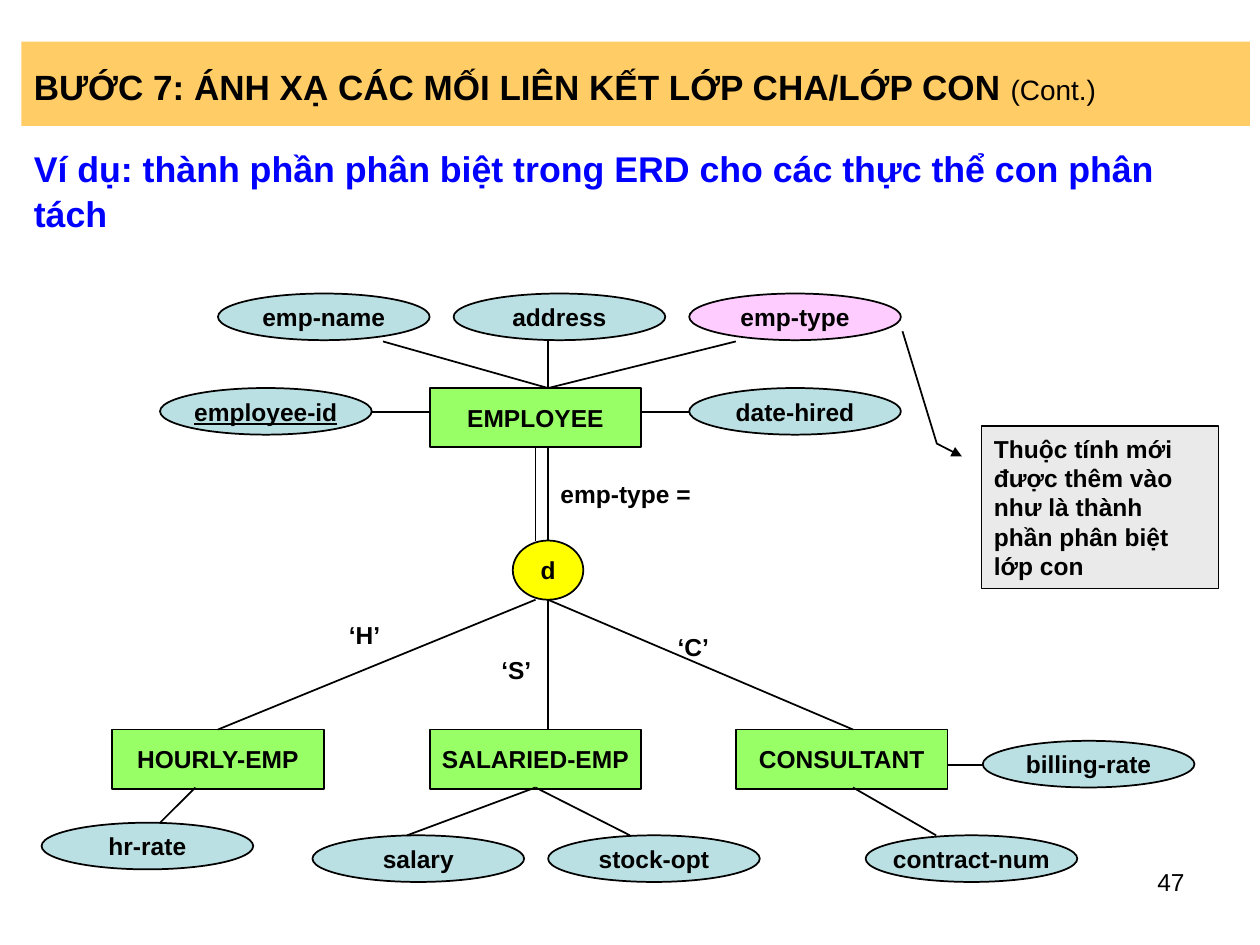
from dataclasses import dataclass
from typing import Optional

from lxml.etree import SubElement
from pptx import Presentation
from pptx.dml.color import RGBColor
from pptx.enum.shapes import MSO_CONNECTOR, MSO_SHAPE
from pptx.enum.text import MSO_ANCHOR, PP_ALIGN
from pptx.oxml.ns import qn
from pptx.util import Inches, Pt


@dataclass(frozen=True)
class Theme:
    font: str = "Arial"
    ink: str = "000000"
    banner: str = "FFCC66"
    heading: str = "0000FF"
    entity: str = "99FF66"
    attribute: str = "BBE0E3"
    new_attribute: str = "FFCCFF"
    disjoint: str = "FFFF00"
    note: str = "EAEAEA"
    title_size: float = 20
    cont_size: float = 16
    heading_size: float = 20.4
    body_size: float = 14
    line_width: float = 1


@dataclass(frozen=True)
class Node:
    text: str
    x: float
    y: float
    fill: str
    kind: MSO_SHAPE = MSO_SHAPE.OVAL
    w: float = 1.68
    h: float = 0.37
    underline: Optional[bool] = None


@dataclass(frozen=True)
class Label:
    text: str
    x: float
    y: float
    w: float = 0.65


T = Theme()


def entity(text: str, x: float, y: float) -> Node:
    return Node(text, x, y, T.entity, MSO_SHAPE.RECTANGLE, h=0.47)


def attribute(text: str, x: float, y: float, **changes) -> Node:
    return Node(text, x, y, **{"fill": T.attribute, **changes})


def add_run(p, text: str, color: str = T.ink, **formats) -> None:
    r = p.add_run()
    r.text = text
    settings = {"name": T.font, "size": Pt(T.body_size), "bold": True, **formats}
    for key, value in settings.items():
        setattr(r.font, key, value)
    r.font.color.rgb = RGBColor.from_string(color)


def set_frame(sp, align: PP_ALIGN = PP_ALIGN.LEFT, wrap: bool = True,
              anchor: MSO_ANCHOR = MSO_ANCHOR.MIDDLE):
    tf = sp.text_frame
    tf.word_wrap = wrap
    tf.vertical_anchor = anchor
    p = tf.paragraphs[0]
    p.alignment = align
    return p


def add_box(s, kind: MSO_SHAPE, x: float, y: float, w: float, h: float,
            fill: str, outlined: bool = True):
    sp = s.shapes.add_shape(kind, Inches(x), Inches(y), Inches(w), Inches(h))
    sp.shadow.inherit = False
    sp.fill.solid()
    sp.fill.fore_color.rgb = RGBColor.from_string(fill)
    if outlined:
        sp.line.color.rgb = RGBColor.from_string(T.ink)
        sp.line.width = Pt(T.line_width)
    else:
        sp.line.fill.background()
    return sp


def add_text(s, x: float, y: float, w: float, h: float, **frame):
    sp = s.shapes.add_textbox(Inches(x), Inches(y), Inches(w), Inches(h))
    return set_frame(sp, **frame)


def add_node(s, node: Node) -> None:
    sp = add_box(s, node.kind, node.x, node.y, node.w, node.h, node.fill)
    p = set_frame(sp, PP_ALIGN.CENTER, wrap=False)
    add_run(p, node.text, underline=node.underline)


def add_line(s, x1: float, y1: float, x2: float, y2: float) -> None:
    line = s.shapes.add_connector(MSO_CONNECTOR.STRAIGHT, Inches(x1), Inches(y1),
                                  Inches(x2), Inches(y2))
    line.line.color.rgb = RGBColor.from_string(T.ink)
    line.line.width = Pt(T.line_width)
    SubElement(line._element.spPr, qn("a:effectLst"))


def add_callout(s, text: str) -> None:
    sp = add_box(s, MSO_SHAPE.LINE_CALLOUT_2, 7.79, 3.38, 1.88, 1.29, T.note)
    # Leader points as (y, x) fractions of the box
    for i, value in enumerate((0.188, -0.083, 0.109, -0.189, -0.582, -0.334)):
        sp.adjustments[i] = value
    SubElement(sp.line._get_or_add_ln(), qn("a:headEnd"), type="triangle")
    add_run(set_frame(sp), text)


# Rows and the main axis of the diagram
TOP, MIDDLE, CHILD, BOTTOM = 2.33, 3.08, 5.79, 6.63
AXIS, TWIN = 4.35, 4.25

NODES = [
    attribute("emp-name", 1.73, TOP),
    attribute("address", 3.6, TOP),
    attribute("emp-type", 5.47, TOP, fill=T.new_attribute),
    attribute("employee-id", 1.27, MIDDLE, underline=True),
    entity("EMPLOYEE", 3.41, MIDDLE),
    attribute("date-hired", 5.47, MIDDLE),
    Node("d", 4.07, 4.29, T.disjoint, w=0.56, h=0.47),
    entity("HOURLY-EMP", 0.89, CHILD),
    entity("SALARIED-EMP", 3.41, CHILD),
    entity("CONSULTANT", 5.84, CHILD),
    attribute("billing-rate", 7.8, 5.88),
    attribute("hr-rate", 0.33, 6.53),
    attribute("salary", 2.48, BOTTOM),
    attribute("stock-opt", 4.35, BOTTOM),
    attribute("contract-num", 6.87, BOTTOM),
]

LINES = [
    # Attributes of EMPLOYEE
    *((AXIS, MIDDLE, x, 2.71) for x in (3.04, AXIS, 5.84)),
    (5.09, 3.27, 5.47, 3.27),
    (3.41, 3.27, 2.95, 3.27),
    # Double line to the disjoint circle
    *((x, 3.55, x, 4.29) for x in (TWIN, AXIS)),
    # Circle to the child entities
    *((x, 4.76, end, CHILD) for x, end in ((TWIN, 1.73), (AXIS, AXIS), (AXIS, 6.77))),
    # Attributes of the child entities
    (1.55, 6.25, 1.27, 6.53),
    *((x, 6.25, end, BOTTOM) for x, end in ((TWIN, 3.23), (TWIN, 5), (6.77, 7.43))),
    (7.52, 6.07, 7.8, 6.07),
]

LABELS = [
    Label("emp-type =", AXIS, 3.73, 2.24),
    Label("‘H’", 2.67, 4.85),
    Label("‘S’", 3.88, 5.13),
    Label("‘C’", 5.28, 4.95),
]


def main() -> None:
    prs = Presentation()
    prs.slide_width, prs.slide_height = Inches(10), Inches(7.5)
    s = prs.slides.add_slide(prs.slide_layouts[6])

    # Title banner and heading
    banner = add_box(s, MSO_SHAPE.RECTANGLE, 0.17, 0.33, 9.75, 0.67, T.banner, outlined=False)
    p = set_frame(banner)
    p.line_spacing = 1.15
    add_run(p, "BƯỚC 7: ÁNH XẠ CÁC MỐI LIÊN KẾT LỚP CHA/LỚP CON ", size=Pt(T.title_size))
    add_run(p, "(Cont.)", size=Pt(T.cont_size), bold=False)
    p = add_text(s, 0.17, 1.17, 9.75, 0.67)
    p.line_spacing = 1.05
    add_run(p, "Ví dụ: thành phần phân biệt trong ERD cho các thực thể con phân tách",
            T.heading, size=Pt(T.heading_size))

    # Diagram
    for node in NODES:
        add_node(s, node)
    for ends in LINES:
        add_line(s, *ends)
    for label in LABELS:
        add_run(add_text(s, label.x, label.y, label.w, 0.37), label.text)
    add_callout(s, "Thuộc tính mới được thêm vào như là thành phần phân biệt lớp con")

    # Page number
    p = add_text(s, 7.17, 6.83, 2.33, 0.52, align=PP_ALIGN.RIGHT, anchor=MSO_ANCHOR.TOP)
    add_run(p, "47", bold=False)

    prs.save("out.pptx")


if __name__ == "__main__":
    main()
